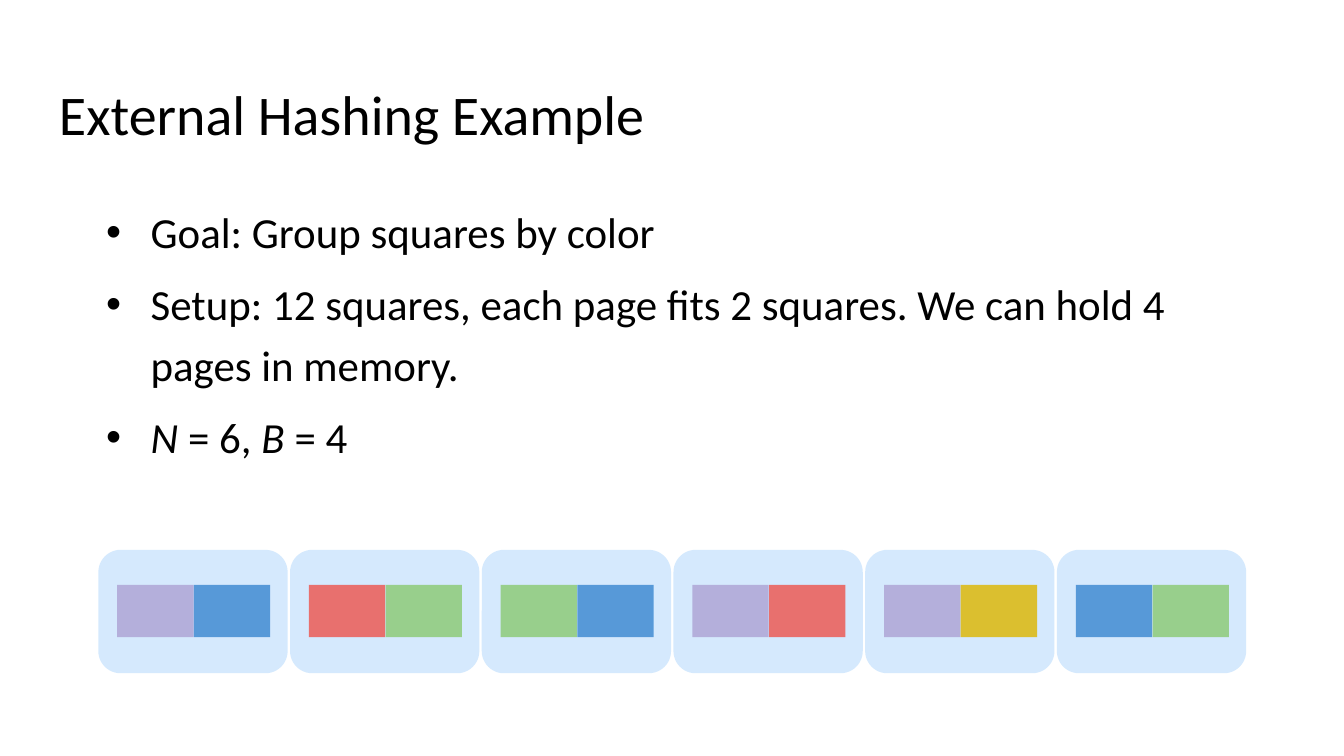
"""Build the external hashing example slide."""
from typing import NamedTuple

from lxml.etree import SubElement
from pptx import Presentation
from pptx.dml.color import RGBColor
from pptx.enum.shapes import MSO_SHAPE as Shape
from pptx.oxml.ns import qn
from pptx.util import Pt

FONT = "Calibri"
BLACK = "000000"


class Paint(NamedTuple):
    color: str
    opacity: int


class Box(NamedTuple):
    left: float
    top: float
    width: float
    height: float


class Bullet(NamedTuple):
    runs: tuple[tuple[str, bool], ...]
    line_spacing: float = 1.17
    space_before: float = 6.5


PAGE = Paint("51A7F9", 24)
PURPLE = Paint("773F9B", 34)
BLUE = Paint("0365C0", 60)
RED = Paint("EC5D57", 86)
GREEN = Paint("70BF41", 60)
YELLOW = Paint("DCBD23", 94)

PAGES = (
    (PURPLE, BLUE),
    (RED, GREEN),
    (GREEN, BLUE),
    (PURPLE, RED),
    (PURPLE, YELLOW),
    (BLUE, GREEN),
)
FIRST_PAGE = Box(52.7, 294.6, 101.4, 66.1)
FIRST_SQUARE = Box(62.8, 313.4, 40.9, 28)
PAGE_PITCH = 102.7
SQUARE_PITCH = 41.1

BULLETS = (
    Bullet((("Goal: Group squares by color", False),), 1, 0),
    Bullet(((
        "Setup: 12 squares, each page fits 2 squares. "
        "We can hold 4 pages in memory.", False),)),
    Bullet((("N ", True), ("= 6, ", False), ("B ", True), ("= 4", False))),
)


def rgb(color: str) -> RGBColor:
    return RGBColor.from_string(color)


def add_text(paragraph, text: str, *, size: float, italic: bool = False,
             color: str = BLACK) -> None:
    run = paragraph.add_run()
    run.text = text
    run.font.name = FONT
    run.font.size = Pt(size)
    run.font.italic = italic
    run.font.color.rgb = rgb(color)


def add_frame(slide, box: Box, inset: float):
    frame = slide.shapes.add_textbox(*map(Pt, box)).text_frame
    frame.word_wrap = True
    frame.margin_left = frame.margin_right = Pt(inset)
    frame.margin_top = frame.margin_bottom = Pt(inset)
    return frame


def set_bullet(paragraph, margin: float, hanging: float) -> None:
    properties = paragraph._p.get_or_add_pPr()
    properties.set("marL", str(Pt(margin)))
    properties.set("indent", str(-Pt(hanging)))
    bullet_color = SubElement(properties, qn("a:buClr"))
    SubElement(bullet_color, qn("a:srgbClr"), val=BLACK)
    SubElement(properties, qn("a:buFont"), typeface="Arial")
    SubElement(properties, qn("a:buChar"), char="•")


def add_bullets(slide, box: Box, bullets: tuple[Bullet, ...]) -> None:
    frame = add_frame(slide, box, 0)
    for index, bullet in enumerate(bullets):
        paragraph = frame.add_paragraph() if index else frame.paragraphs[0]
        paragraph.line_spacing = bullet.line_spacing
        paragraph.space_before = Pt(bullet.space_before)
        set_bullet(paragraph, 24.5, 23.8)
        for text, italic in bullet.runs:
            add_text(paragraph, text, size=23, italic=italic)


def add_block(slide, kind: Shape, box: Box, paint: Paint):
    block = slide.shapes.add_shape(kind, *map(Pt, box))
    block.shadow.inherit = False
    block.line.fill.background()
    block.fill.solid()
    block.fill.fore_color.rgb = rgb(paint.color)
    fill_color = block._element.spPr.find(".//" + qn("a:srgbClr"))
    SubElement(fill_color, qn("a:alpha"), val=str(paint.opacity * 1000))
    return block


def add_page(slide, index: int, squares: tuple[Paint, ...]) -> None:
    shift = index * PAGE_PITCH
    page_box = FIRST_PAGE._replace(left=FIRST_PAGE.left + shift)
    page = add_block(slide, Shape.ROUNDED_RECTANGLE, page_box, PAGE)
    page.adjustments[0] = 0.18
    for position, paint in enumerate(squares):
        left = FIRST_SQUARE.left + shift + position * SQUARE_PITCH
        add_block(slide, Shape.RECTANGLE, FIRST_SQUARE._replace(left=left), paint)


def main() -> None:
    presentation = Presentation()
    presentation.slide_width = Pt(720)
    presentation.slide_height = Pt(405)
    slide = presentation.slides.add_slide(presentation.slide_layouts[6])

    title = add_frame(slide, Box(24.5, 35.3, 671, 45.4), 7.2)
    add_text(title.paragraphs[0], "External Hashing Example", size=30)
    add_bullets(slide, Box(56.2, 110.2, 579.6, 121), BULLETS)
    for index, squares in enumerate(PAGES):
        add_page(slide, index, squares)

    presentation.save("out.pptx")


if __name__ == "__main__":
    main()
